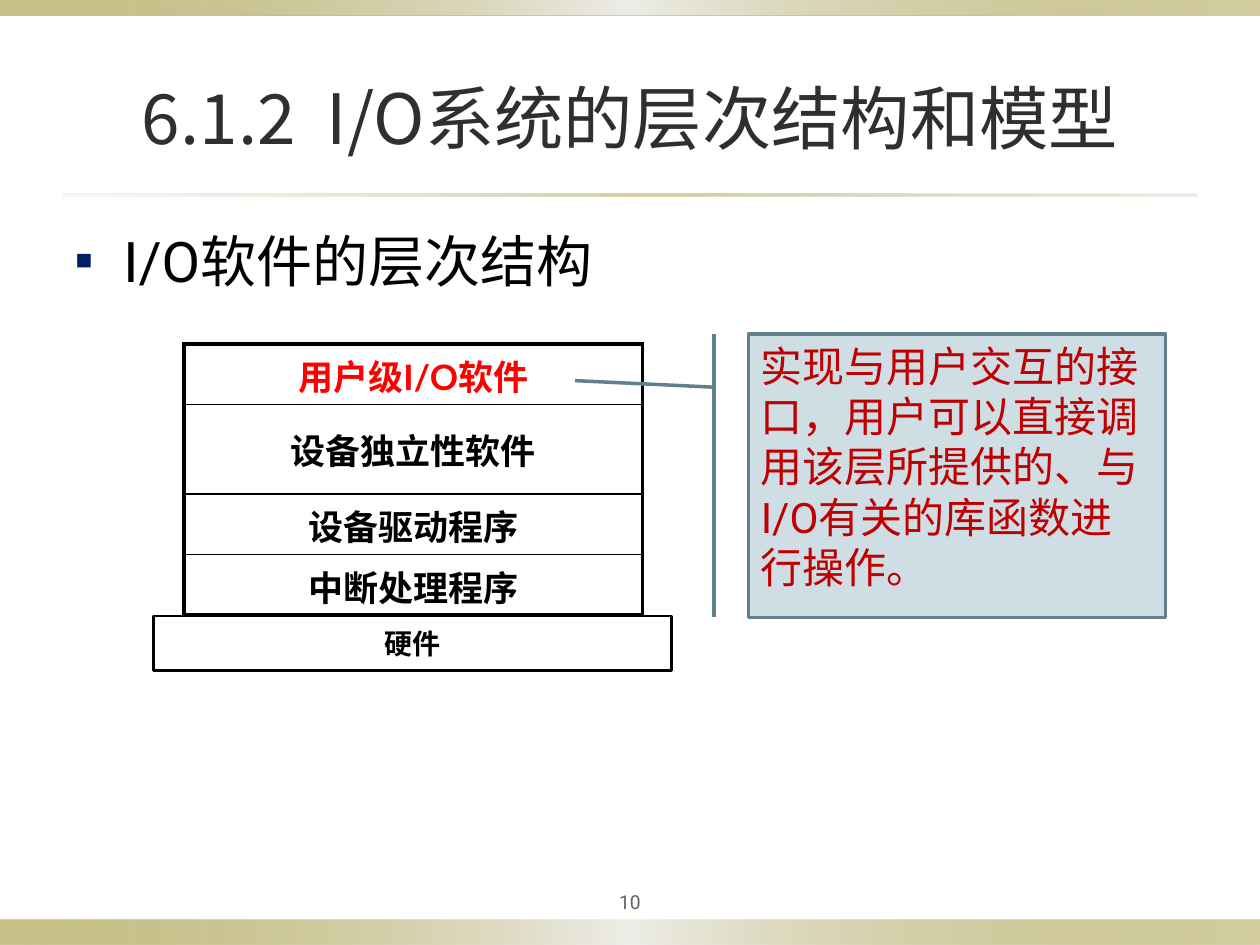
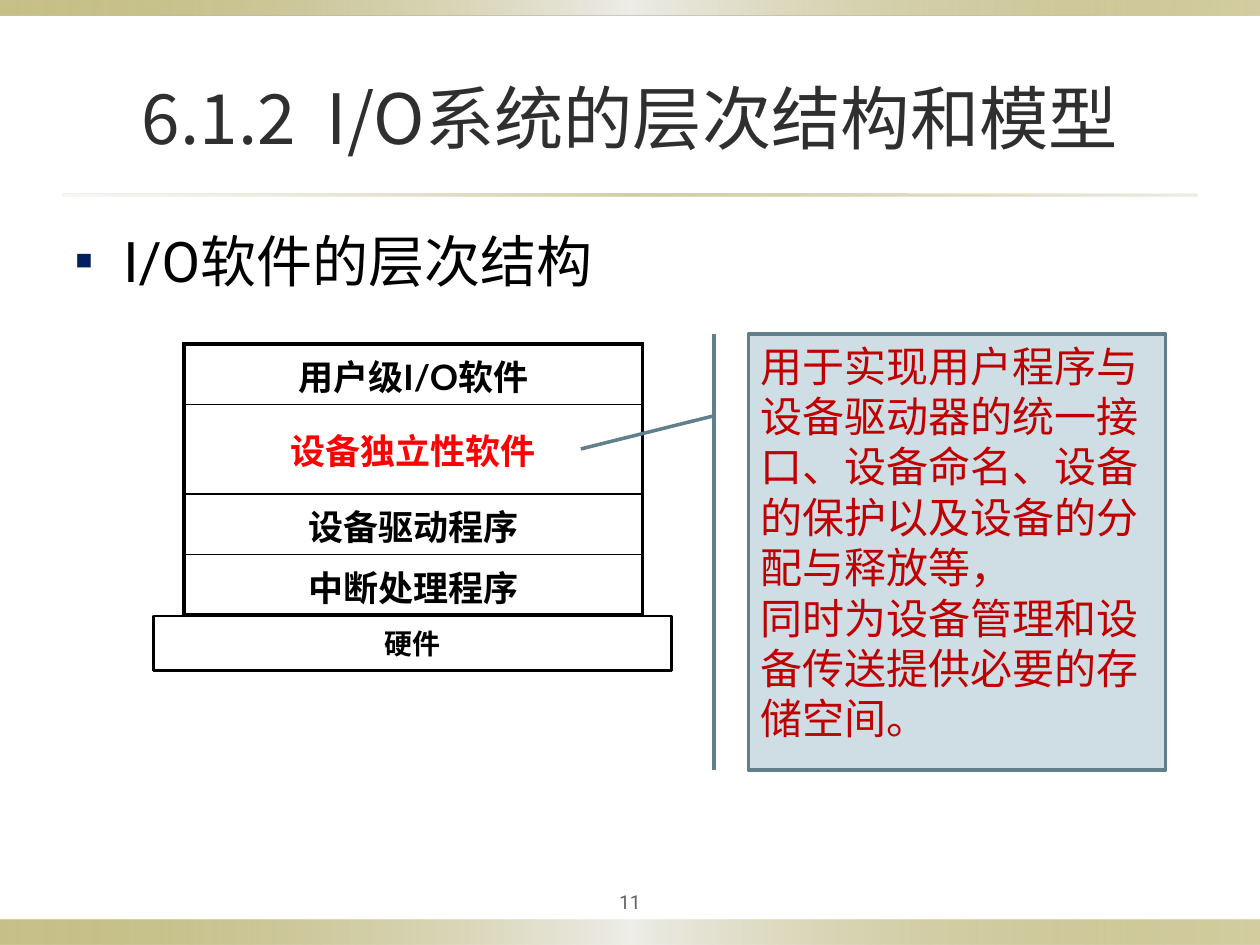
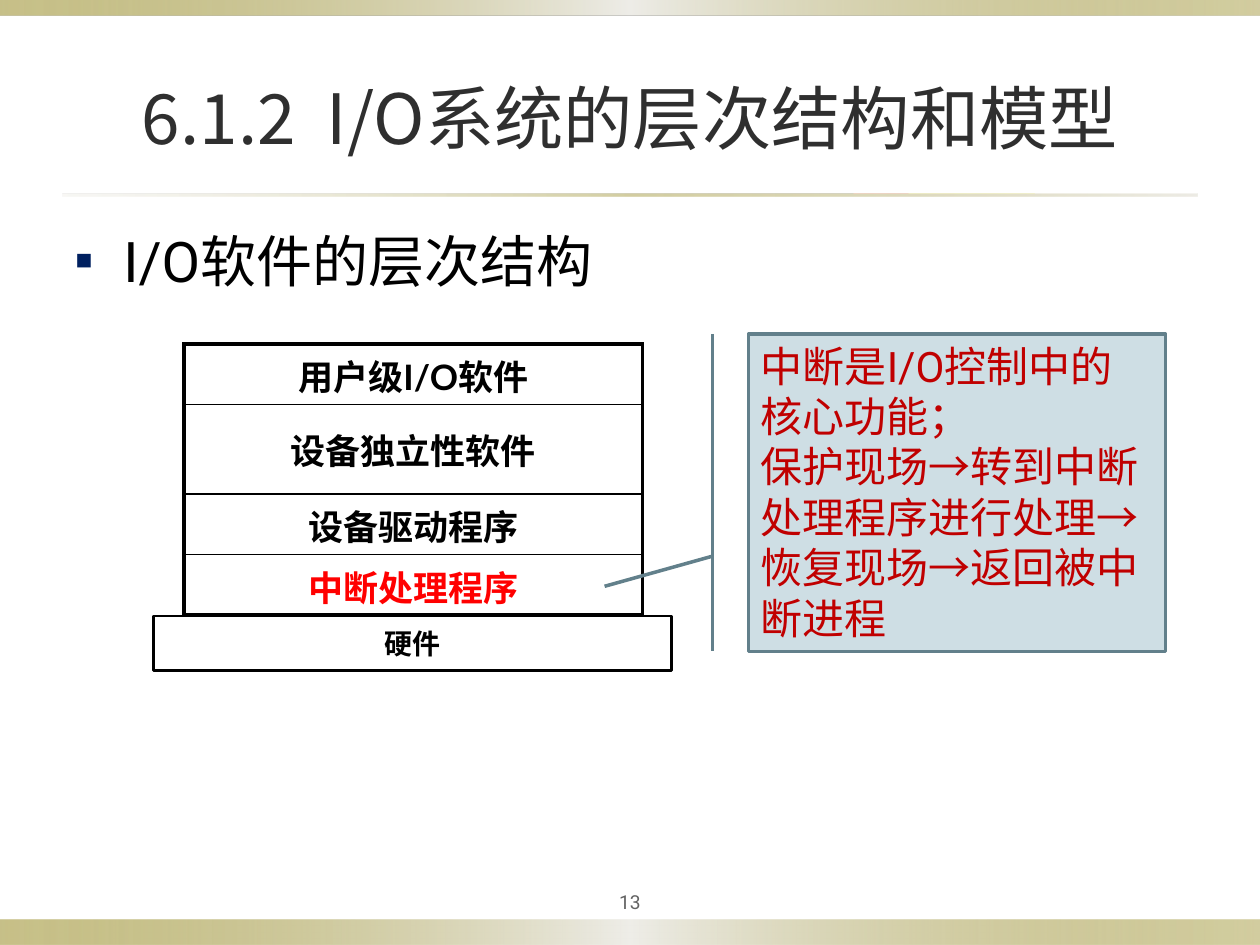
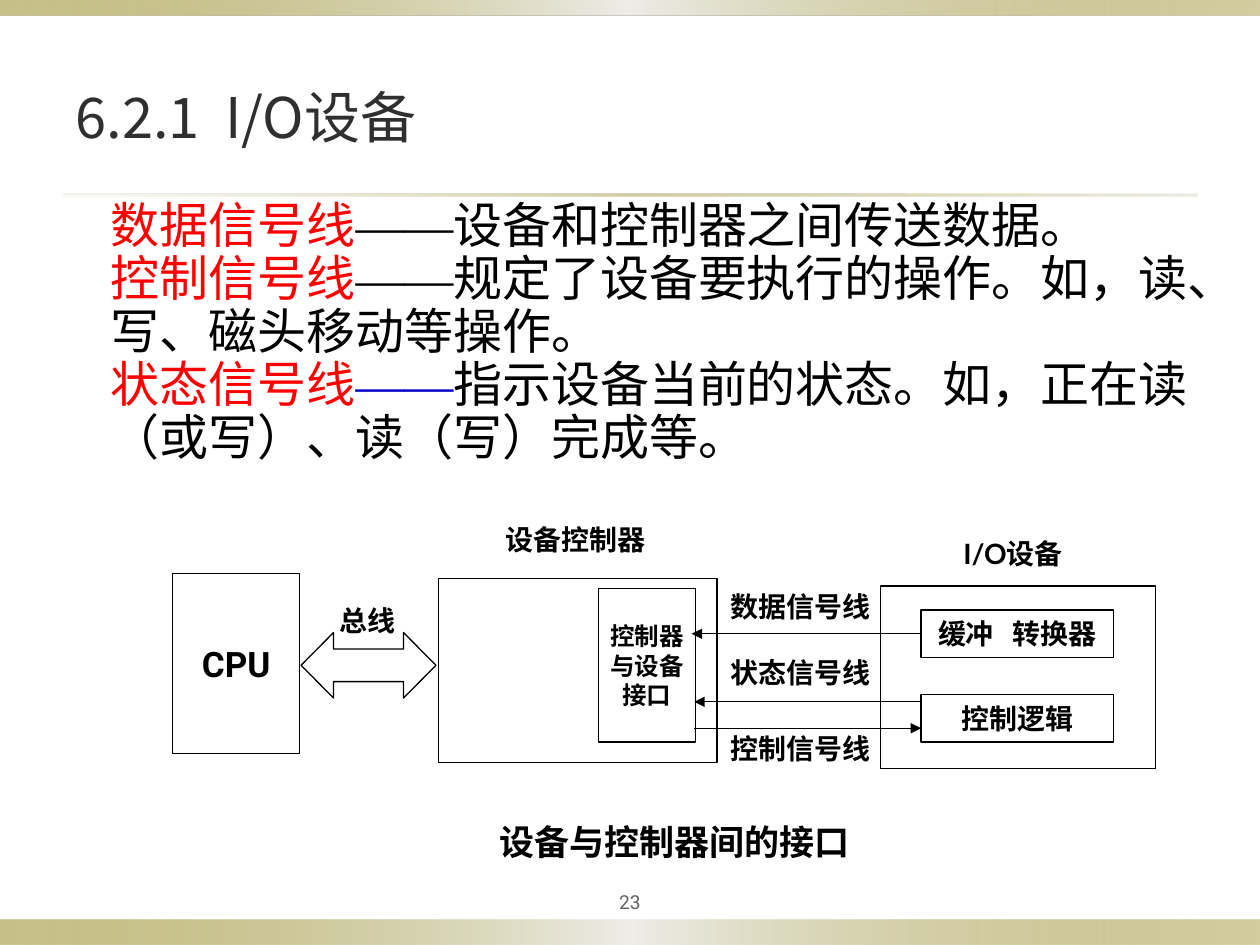
"""Build four slides on the layers and devices of an I/O system."""
from lxml.etree import SubElement
from pptx import Presentation
from pptx.dml.color import RGBColor
from pptx.enum.shapes import MSO_CONNECTOR, MSO_SHAPE
from pptx.enum.text import MSO_ANCHOR, MSO_AUTO_SIZE, PP_ALIGN
from pptx.oxml import parse_xml
from pptx.oxml.ns import nsdecls, qn
from pptx.util import Inches, Pt

BLACK, RED, DARK_RED, BLUE = "000000", "FF0000", "C00000", "0000CC"
TITLE_GREY, NUMBER_GREY, BULLET_NAVY = "2F2F2F", "636363", "002060"
CALLOUT_FILL, CALLOUT_LINE = "CEDEE4", "62808B"
CJK, BODY, LABEL, SERIF = "Noto Sans CJK SC", "Roboto", "Lato", "Times New Roman"
BAND_STOPS = [(0, "918415", 50), (50, "EEEDE8", 100), (100, "918415", 40)]
RULE_STOPS = [(0, "DCD9CC", 20), (50, "918415", 40), (100, "DCD9CC", 50)]
LAYERS_TITLE = "6.1.2  I/O系统的层次结构和模型"
LAYERS = ["用户级I/O软件", "设备独立性软件", "设备驱动程序", "中断处理程序"]
LAYER_HEIGHTS = [0.48, 0.71, 0.48, 0.48]
LAYER_SLIDES = [
    (10, 0, 2.25, (0.188, -0.083, 0.165, -0.416),
     "实现与用户交互的接口，用户可以直接调用该层所提供的、与I/O有关的库函数进行操作。"),
    (11, 1, 3.46, (0.188, -0.083, 0.264, -0.402),
     "用于实现用户程序与设备驱动器的统一接口、设备命名、设备的保护以及设备的分配与释放等，\n"
     "同时为设备管理和设备传送提供必要的存储空间。"),
    (13, 3, 2.52, (0.7, -0.086, 0.795, -0.345),
     "中断是I/O控制中的核心功能；\n"
     "保护现场→转到中断处理程序进行处理→恢复现场→返回被中断进程"),
]
SIGNALS = [
    ("数据信号线", BLACK, "设备和控制器之间传送数据。"),
    ("控制信号线", BLACK, "规定了设备要执行的操作。如，读、写、磁头移动等操作。"),
    ("状态信号线", BLUE, "指示设备当前的状态。如，正在读（或写）、读（写）完成等。"),
]
DIAGRAM_LABELS = [
    ("数据信号线", (5.69, 4.67, 1.33, 0.37), 16),
    ("状态信号线", (5.69, 5.19, 1.33, 0.37), 16),
    ("控制信号线", (5.69, 5.8, 1.33, 0.37), 16),
    ("设备控制器", (3.77, 4.14, 1.6, 0.37), 16),
    ("I/O设备", (7.15, 4.25, 1.78, 0.37), 16),
    ("总线", (2.59, 4.78, 0.66, 0.37), 16),
    ("设备与控制器间的接口", (3.22, 6.5, 4.27, 0.46), 20),
]


def rgb(value):
    """Turn a hex string into a colour."""
    return RGBColor.from_string(value)


def inches(values):
    """Turn a sequence of numbers into lengths."""
    return [Inches(value) for value in values]


def format_run(run, font, size, color, bold=False):
    """Format one run, with a Chinese face beside the Latin one."""
    run.font.name = font
    run.font.size = Pt(size)
    run.font.bold = bold
    run.font.color.rgb = rgb(color)
    east_asian = SubElement(run.font._element, qn("a:ea"))
    east_asian.set("typeface", SERIF if font == SERIF else CJK)


def write_text(text_frame, text, font, size, color, bold=False, align=PP_ALIGN.CENTER):
    """Fill a text frame and format all its runs alike."""
    text_frame.text = text
    for paragraph in text_frame.paragraphs:
        paragraph.alignment = align
        for run in paragraph.runs:
            format_run(run, font, size, color, bold)


def set_margins(text_frame, horizontal, vertical):
    """Set equal side margins and equal top and bottom margins."""
    text_frame.margin_left = text_frame.margin_right = Inches(horizontal)
    text_frame.margin_top = text_frame.margin_bottom = Inches(vertical)


def place(shape, box):
    """Move and size a shape."""
    shape.left, shape.top, shape.width, shape.height = inches(box)


def set_indent(paragraph, margin, first_line):
    """Set the left margin and first-line indent of a paragraph."""
    properties = paragraph._p.get_or_add_pPr()
    properties.set("marL", str(Inches(margin)))
    properties.set("indent", str(Inches(first_line)))
    return properties


def add_gradient_bar(slide, box, stops):
    """Add a bar with a horizontal gradient to the master of a slide."""
    bar = slide.shapes.add_shape(MSO_SHAPE.RECTANGLE, *inches(box))
    bar.shadow.inherit = False
    bar.line.fill.background()
    stop_xml = "".join(
        f'<a:gs pos="{position * 1000}"><a:srgbClr val="{color}">'
        f'<a:alpha val="{alpha * 1000}"/></a:srgbClr></a:gs>'
        for position, color, alpha in stops)
    gradient = parse_xml(f'<a:gradFill {nsdecls("a")}><a:gsLst>{stop_xml}</a:gsLst>'
                         '<a:lin ang="0" scaled="0"/></a:gradFill>')
    bar._element.spPr.find(qn("a:prstGeom")).addnext(gradient)
    slide.slide_layout.slide_master.shapes._spTree.insert(2, bar._element)


def decorate_master(slide):
    """Put the bands and the title rule on the master."""
    add_gradient_bar(slide, (0, 7.3, 10, 0.2), BAND_STOPS)
    add_gradient_bar(slide, (0, 0, 10, 0.12), BAND_STOPS)
    add_gradient_bar(slide, (0.5, 1.54, 9, 0.02), RULE_STOPS)


def add_slide(presentation, title, number, size, align):
    """Add a slide with its title and page number."""
    slide = presentation.slides.add_slide(presentation.slide_layouts[1])
    place(slide.shapes.title, (0.5, 0.3, 9, 1.25))
    title_frame = slide.shapes.title.text_frame
    title_frame.auto_size = MSO_AUTO_SIZE.NONE
    title_frame.vertical_anchor = MSO_ANCHOR.MIDDLE
    write_text(title_frame, title, CJK, size, TITLE_GREY, align=align)
    number_frame = slide.shapes.add_textbox(*inches((4.5, 7, 1, 0.31))).text_frame
    number_frame.word_wrap = True
    number_frame.vertical_anchor = MSO_ANCHOR.MIDDLE
    set_margins(number_frame, 0.05, 0.05)
    write_text(number_frame, str(number), BODY, 11, NUMBER_GREY)
    return slide


def get_body(slide, box):
    """Place the body placeholder and return its text frame."""
    body = slide.placeholders[1]
    place(body, box)
    body.text_frame.auto_size = MSO_AUTO_SIZE.NONE
    return body.text_frame


def write_bullet(text_frame, text):
    """Write the single square-bulleted line of a slide."""
    write_text(text_frame, text, BODY, 32, BLACK, align=PP_ALIGN.LEFT)
    properties = set_indent(text_frame.paragraphs[0], 0.38, -0.38)
    bullet_color = SubElement(properties, qn("a:buClr"))
    SubElement(bullet_color, qn("a:srgbClr")).set("val", BULLET_NAVY)
    SubElement(properties, qn("a:buSzPct")).set("val", "50000")
    SubElement(properties, qn("a:buChar")).set("char", "■")


def set_borders(cell, **widths):
    """Draw black cell borders of the given widths in points."""
    properties = cell._tc.get_or_add_tcPr()
    for index, (side, width) in enumerate(widths.items()):
        properties.insert(index, parse_xml(
            f'<a:{side} {nsdecls("a")} w="{Pt(width)}"><a:solidFill>'
            f'<a:srgbClr val="{BLACK}"/></a:solidFill></a:{side}>'))


def add_layer_table(slide, active_layer):
    """Add the stack of software layers with one layer in red."""
    box = inches((1.46, 2.73, 3.64, sum(LAYER_HEIGHTS)))
    table = slide.shapes.add_table(len(LAYERS), 1, *box).table
    table.first_row = table.horz_banding = False
    last = len(LAYERS) - 1
    for index, (layer, height) in enumerate(zip(LAYERS, LAYER_HEIGHTS)):
        table.rows[index].height = Inches(height)
        cell = table.cell(index, 0)
        cell.fill.background()
        cell.vertical_anchor = MSO_ANCHOR.MIDDLE
        color = RED if index == active_layer else BLACK
        write_text(cell.text_frame, layer, LABEL, 20, color, True)
        set_borders(cell, lnL=2.25, lnR=2.25, lnT=2.25 if index == 0 else 1,
                    lnB=2.25 if index == last else 1)


def add_outline(shapes, box, text="", size=16, line_width=0.75, wrap=True,
                kind=MSO_SHAPE.RECTANGLE):
    """Add an unfilled black outline with centred bold text."""
    shape = shapes.add_shape(kind, *inches(box))
    shape.shadow.inherit = False
    shape.fill.background()
    shape.line.color.rgb = rgb(BLACK)
    shape.line.width = Pt(line_width)
    if text:
        shape.text_frame.word_wrap = wrap
        shape.text_frame.vertical_anchor = MSO_ANCHOR.MIDDLE
        set_margins(shape.text_frame, 0.02, 0.01)
        write_text(shape.text_frame, text, BODY, size, BLACK, True)
    return shape


def add_callout(slide, height, adjustments, text):
    """Add the explanation whose leader points at a layer."""
    callout = slide.shapes.add_shape(MSO_SHAPE.LINE_CALLOUT_1_BORDER_AND_ACCENT_BAR,
                                     *inches((5.94, 2.65, 3.31, height)))
    for index, value in enumerate(adjustments):
        callout.adjustments[index] = value
    callout.shadow.inherit = False
    callout.fill.solid()
    callout.fill.fore_color.rgb = rgb(CALLOUT_FILL)
    callout.line.color.rgb = rgb(CALLOUT_LINE)
    callout.line.width = Pt(2)
    callout.text_frame.vertical_anchor = MSO_ANCHOR.TOP
    write_text(callout.text_frame, text, BODY, 24, DARK_RED, align=PP_ALIGN.LEFT)


def add_label(shapes, text, box, size):
    """Add a bold centred label."""
    text_frame = shapes.add_textbox(*inches(box)).text_frame
    text_frame.word_wrap = True
    text_frame.auto_size = MSO_AUTO_SIZE.SHAPE_TO_FIT_TEXT
    set_margins(text_frame, 0.02, 0.01)
    write_text(text_frame, text, LABEL, size, BLACK, True)


def add_arrow(shapes, start, end, y):
    """Add a horizontal signal arrow."""
    arrow = shapes.add_connector(MSO_CONNECTOR.STRAIGHT, *inches((start, y, end, y)))
    arrow.line.color.rgb = rgb(BLACK)
    arrow.line.width = Pt(0.75)
    SubElement(arrow.line._get_or_add_ln(), qn("a:tailEnd")).set("type", "triangle")
    SubElement(arrow._element.spPr, qn("a:effectLst"))
    return arrow


def add_layer_slide(presentation, number, active_layer, height, adjustments, text):
    """Add a slide that explains one software layer."""
    slide = add_slide(presentation, LAYERS_TITLE, number, 39.6, PP_ALIGN.CENTER)
    write_bullet(get_body(slide, (0.5, 1.75, 9, 5.13)), "I/O软件的层次结构")
    add_layer_table(slide, active_layer)
    add_outline(slide.shapes, (1.22, 4.89, 4.11, 0.43), "硬件", line_width=1.5, wrap=False)
    add_callout(slide, height, adjustments, text)
    return slide


def write_signals(text_frame):
    """Write the definitions of the signal lines."""
    for index, (name, dash_color, meaning) in enumerate(SIGNALS):
        paragraph = text_frame.add_paragraph() if index else text_frame.paragraphs[0]
        paragraph.level = 1
        paragraph.line_spacing = 0.9
        paragraph.space_before = Pt(0)
        SubElement(set_indent(paragraph, 0.5, 0), qn("a:buNone"))
        for text, font, color in ((name, CJK, RED), ("——", SERIF, dash_color),
                                  (meaning, CJK, BLACK)):
            run = paragraph.add_run()
            run.text = text
            format_run(run, font, 28, color)


def add_interface_diagram(slide):
    """Draw the interface between device and controller as a group."""
    shapes = slide.shapes.add_group_shape().shapes
    add_outline(shapes, (6.99, 4.65, 2.18, 1.45))
    add_outline(shapes, (3.48, 4.59, 2.21, 1.46))
    converter = add_outline(shapes, (7.31, 4.84, 1.53, 0.38), "缓冲   转换器")
    add_outline(shapes, (7.31, 5.51, 1.53, 0.38), "控制逻辑")
    add_outline(shapes, (4.75, 4.67, 0.77, 1.22), "控制器与设备接口", 14)
    add_outline(shapes, (1.37, 4.55, 1.01, 1.43), "CPU", 20, wrap=False)
    bus = add_outline(shapes, (2.39, 5.02, 1.07, 0.52), kind=MSO_SHAPE.LEFT_RIGHT_ARROW)
    bus.adjustments[1] = 0.495
    add_arrow(shapes, 7.31, 5.49, 5.03).begin_connect(converter, 1)
    add_arrow(shapes, 7.31, 5.51, 5.57)
    add_arrow(shapes, 5.51, 7.31, 5.78)
    for text, box, size in DIAGRAM_LABELS:
        add_label(shapes, text, box, size)


def main():
    """Build and save the presentation."""
    presentation = Presentation()
    presentation.slide_width, presentation.slide_height = inches((10, 7.5))
    for content in LAYER_SLIDES:
        add_layer_slide(presentation, *content)
    device_slide = add_slide(presentation, "6.2.1  I/O设备", 23, 32, PP_ALIGN.LEFT)
    write_signals(get_body(device_slide, (0.28, 1.55, 9.48, 2.34)))
    add_interface_diagram(device_slide)
    decorate_master(device_slide)
    presentation.save("out.pptx")


if __name__ == "__main__":
    main()
